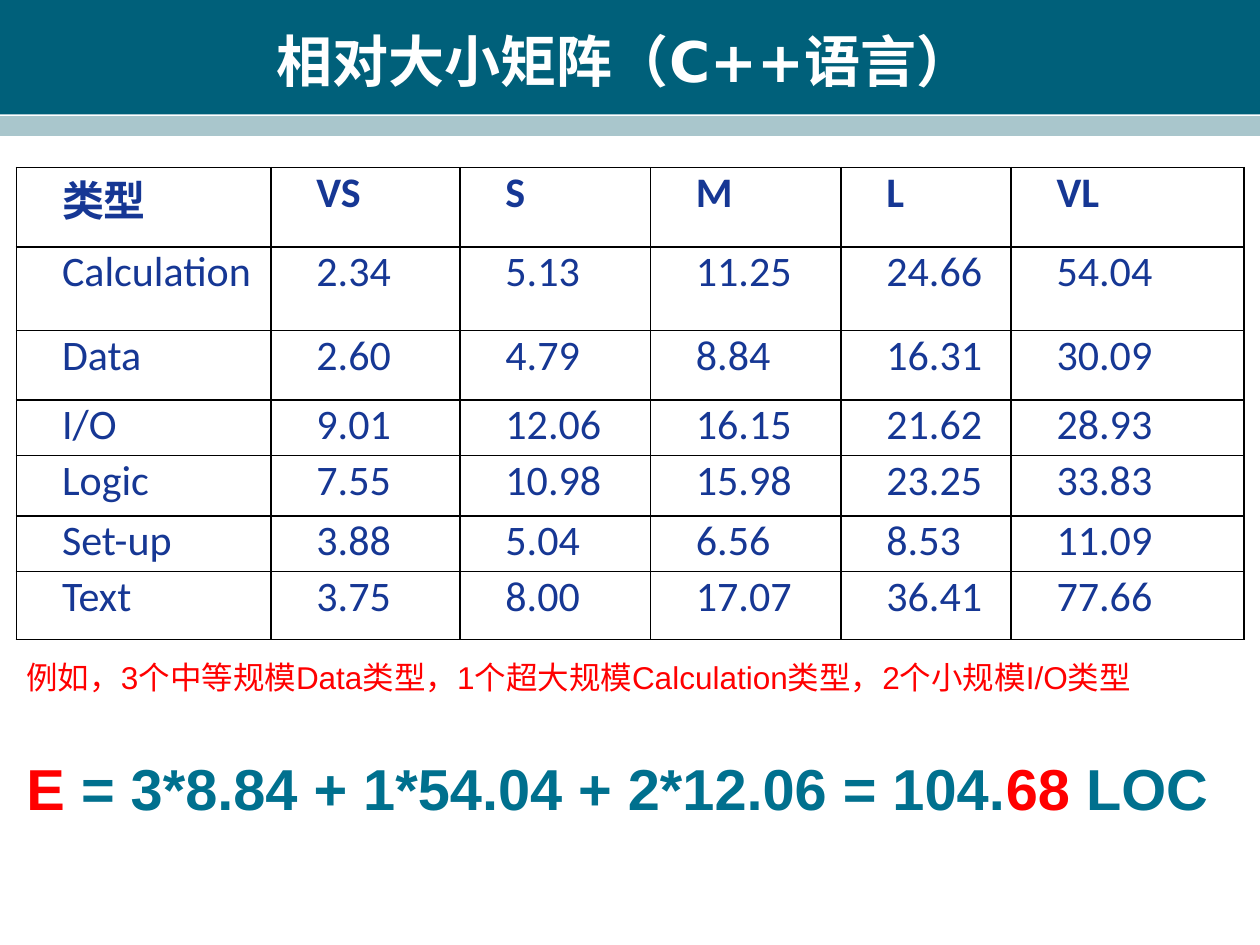
from dataclasses import dataclass

from lxml import etree
from pptx import Presentation
from pptx import util as u
from pptx.dml.color import RGBColor
from pptx.enum import shapes, text
from pptx.oxml import ns


@dataclass(frozen=True)
class Theme:
    banner: str = "00607A"
    stripe: str = "A9C6CC"
    white: str = "FFFFFF"
    table_text: str = "163794"
    border: str = "000000"
    accent: str = "FF0000"
    formula: str = "00708E"
    title_font: str = "DejaVu Sans"
    table_font: str = "Calibri"
    body_font: str = "Arial"
    title_size: int = 32
    table_size: int = 24
    example_size: int = 18
    formula_size: int = 33


THEME = Theme()
TITLE = "相对大小矩阵（C++语言）"
EXAMPLE = "例如，3个中等规模Data类型，1个超大规模Calculation类型，2个小规模I/O类型"
FORMULA = [
    ("E ", THEME.accent),
    ("= 3*8.84 + 1*54.04 + 2*12.06 = 104.", THEME.formula),
    ("68 ", THEME.accent),
    ("LOC", THEME.formula),
]
SIZE_MATRIX = [
    ("类型", "VS", "S", "M", "L", "VL"),
    ("Calculation", "2.34", "5.13", "11.25", "24.66", "54.04"),
    ("Data", "2.60", "4.79", "8.84", "16.31", "30.09"),
    ("I/O", "9.01", "12.06", "16.15", "21.62", "28.93"),
    ("Logic", "7.55", "10.98", "15.98", "23.25", "33.83"),
    ("Set-up", "3.88", "5.04", "6.56", "8.53", "11.09"),
    ("Text", "3.75", "8.00", "17.07", "36.41", "77.66"),
]
COLUMN_WIDTHS = [5.13, 3.81, 3.84, 3.84, 3.43, 4.7]
ROW_HEIGHTS = [1.6, 1.68, 1.4, 1.12, 1.22, 1.12, 1.37]
BANDS = [(0, 2.31, THEME.banner), (2.34, 0.4, THEME.stripe)]


def write(paragraph, words, *, font, size, color, bold=False, align=None):
    run = paragraph.add_run()
    run.text = words
    run.font.name = font
    run.font.size = u.Pt(size)
    run.font.bold = bold
    run.font.color.rgb = RGBColor.from_string(color)
    if align is not None:
        paragraph.alignment = align


def indent(paragraph, first_line, bullet_free=False):
    properties = paragraph._p.get_or_add_pPr()
    properties.set("marL", "0")
    properties.set("indent", str(u.Cm(first_line)))
    if bullet_free:
        etree.SubElement(properties, ns.qn("a:buNone"))


def place(shape, left, top, width, height):
    shape.left, shape.top = u.Cm(left), u.Cm(top)
    shape.width, shape.height = u.Cm(width), u.Cm(height)


def paint(target, color):
    target.fill.solid()
    target.fill.fore_color.rgb = RGBColor.from_string(color)


def outline_cell(cell):
    properties = cell._tc.get_or_add_tcPr()
    for position, side in enumerate(("lnL", "lnR", "lnT", "lnB")):
        line = etree.Element(ns.qn(f"a:{side}"), w=str(u.Pt(1)))
        fill = etree.SubElement(line, ns.qn("a:solidFill"))
        etree.SubElement(fill, ns.qn("a:srgbClr"), val=THEME.border)
        properties.insert(position, line)


def add_title(slide, slide_width):
    title = slide.shapes.title
    for top, height, color in BANDS:
        band = slide.shapes.add_shape(
            shapes.MSO_SHAPE.RECTANGLE, 0, u.Cm(top), slide_width, u.Cm(height))
        band.shadow.inherit = False
        paint(band, color)
        band.line.fill.background()
        title.element.addprevious(band.element)
    place(title, 0.84, 0.43, 23.5, 1.57)
    title.text_frame.auto_size = text.MSO_AUTO_SIZE.NONE
    title.text_frame.vertical_anchor = text.MSO_ANCHOR.MIDDLE
    write(title.text_frame.paragraphs[0], TITLE, font=THEME.title_font,
          size=THEME.title_size, color=THEME.white, bold=True,
          align=text.PP_ALIGN.CENTER)


def add_matrix(slide):
    table = slide.shapes.add_table(
        len(SIZE_MATRIX), len(COLUMN_WIDTHS), u.Cm(0.33), u.Cm(3.38),
        u.Cm(sum(COLUMN_WIDTHS)), u.Cm(sum(ROW_HEIGHTS))).table
    table.first_row = table.horz_banding = False
    for column, width in zip(table.columns, COLUMN_WIDTHS):
        column.width = u.Cm(width)
    for row_index, (row, height) in enumerate(zip(table.rows, ROW_HEIGHTS)):
        row.height = u.Cm(height)
        header = row_index == 0
        for cell, words in zip(row.cells, SIZE_MATRIX[row_index]):
            cell.margin_left = cell.margin_right = u.Cm(0.18)
            cell.margin_top = cell.margin_bottom = 0
            paint(cell, THEME.white)
            outline_cell(cell)
            paragraph = cell.text_frame.paragraphs[0]
            indent(paragraph, 0.74)
            write(paragraph, words, font=THEME.table_font, size=THEME.table_size,
                  color=THEME.table_text, bold=header,
                  align=text.PP_ALIGN.LEFT if header else text.PP_ALIGN.JUSTIFY)


def add_example(slide):
    body = slide.placeholders[1]
    place(body, 0.28, 13.13, 25.12, 6.15)
    frame = body.text_frame
    frame.auto_size = text.MSO_AUTO_SIZE.NONE
    example, formula = frame.paragraphs[0], frame.add_paragraph()
    for paragraph, space in ((example, 0), (formula, 33)):
        indent(paragraph, 0, bullet_free=True)
        paragraph.space_before = u.Pt(space)
    write(example, EXAMPLE, font=THEME.body_font, size=THEME.example_size,
          color=THEME.accent)
    for words, color in FORMULA:
        write(formula, words, font=THEME.body_font, size=THEME.formula_size,
              color=color, bold=True)


def main():
    presentation = Presentation()
    presentation.slide_width, presentation.slide_height = u.Cm(25.4), u.Cm(19.05)
    slide = presentation.slides.add_slide(presentation.slide_layouts[1])
    add_title(slide, presentation.slide_width)
    add_matrix(slide)
    add_example(slide)
    presentation.save("out.pptx")


if __name__ == "__main__":
    main()
